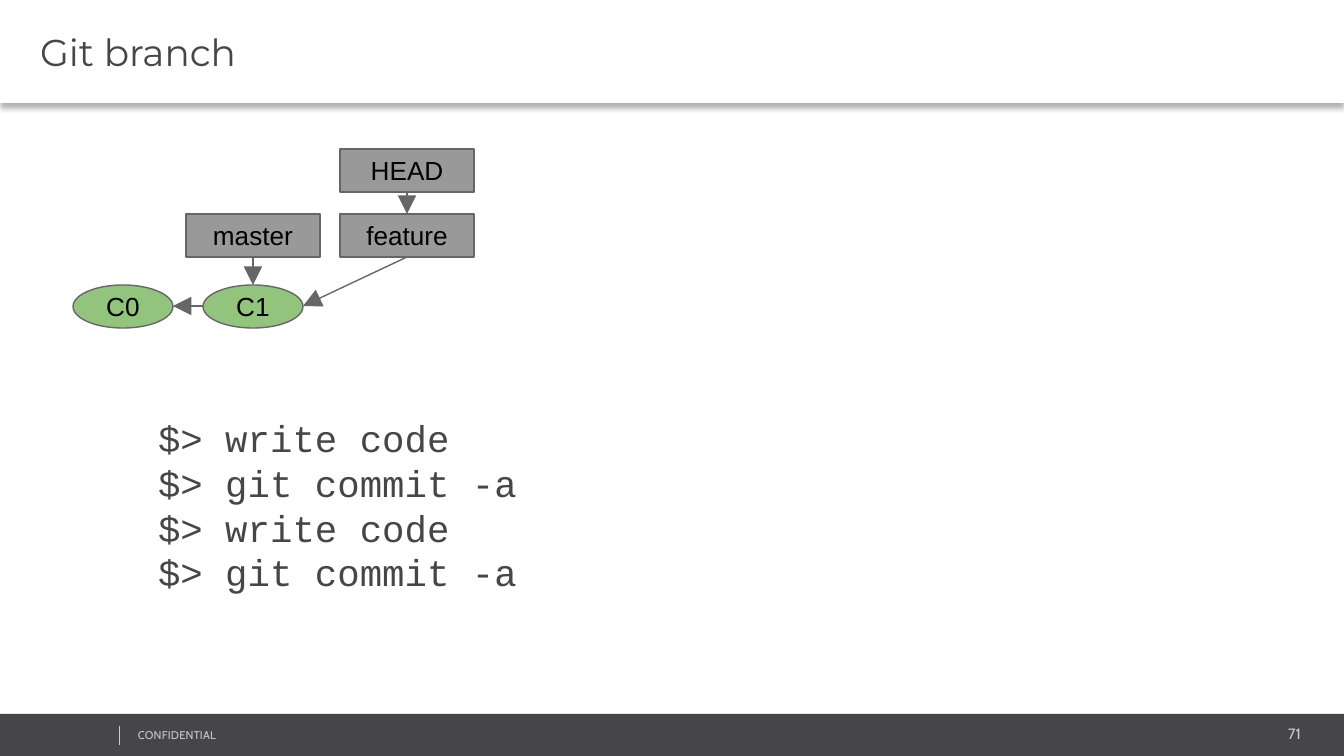
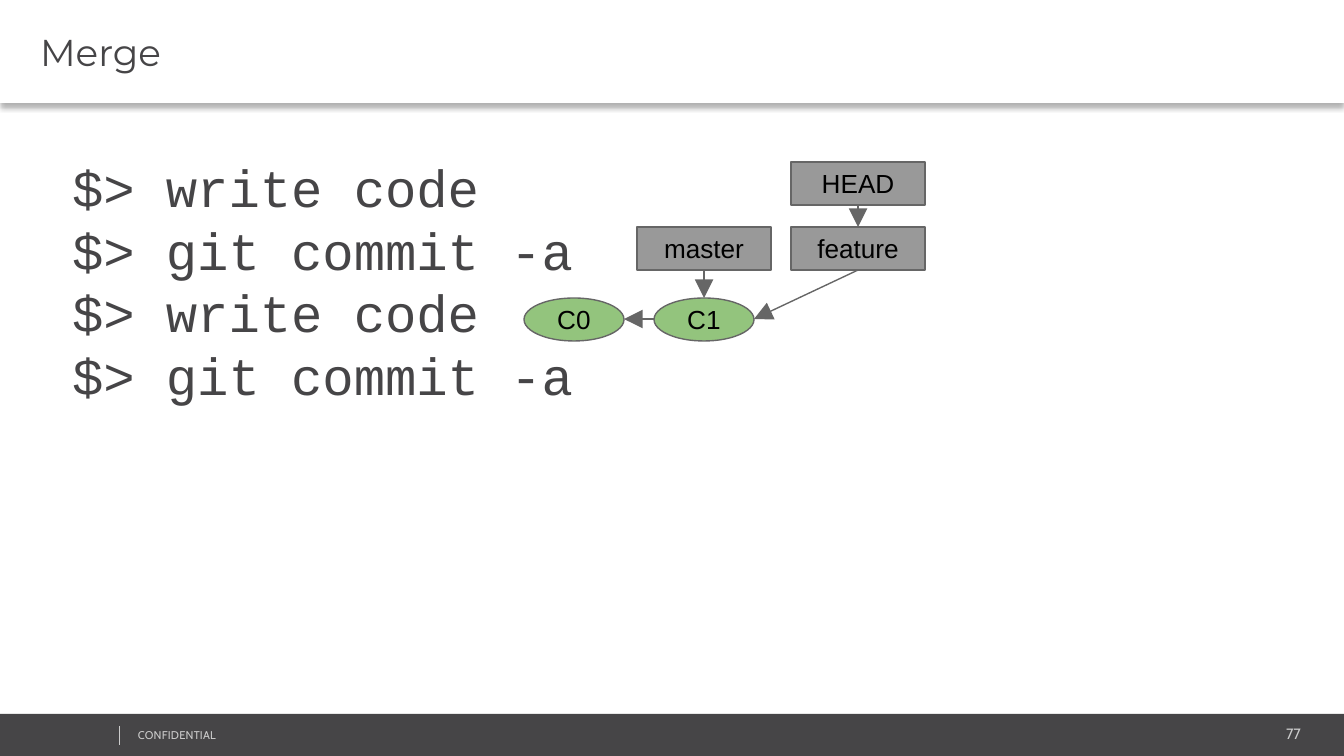
"""Build two slides on branching and merging in Git."""
import pptx
import pptx.dml.color
import pptx.enum.shapes
import pptx.enum.text
import pptx.oxml
import pptx.oxml.ns
import pptx.util

PX = 6804
NS = pptx.oxml.ns.nsdecls("a")
DARK, PALE, EDGE = "464547", "CCCCCC", "666666"
RECT = pptx.enum.shapes.MSO_SHAPE.RECTANGLE
OVAL = pptx.enum.shapes.MSO_SHAPE.OVAL
LINE = pptx.enum.shapes.MSO_CONNECTOR.STRAIGHT
LEFT, MID, RIGHT = (pptx.enum.text.PP_ALIGN.LEFT, pptx.enum.text.PP_ALIGN.CENTER,
                    pptx.enum.text.PP_ALIGN.RIGHT)
TOP, HALF = pptx.enum.text.MSO_ANCHOR.TOP, pptx.enum.text.MSO_ANCHOR.MIDDLE


def hue(code):
    return pptx.dml.color.RGBColor.from_string(code)


def write(shape, text, font="Arial", size=14, color="000000", align=LEFT,
          anchor=TOP, pad=(13, 13, 13, 13), track=0):
    frame = shape.text_frame
    frame.word_wrap = True
    frame.auto_size = pptx.enum.text.MSO_AUTO_SIZE.NONE
    frame.vertical_anchor = anchor
    (frame.margin_left, frame.margin_top,
     frame.margin_right, frame.margin_bottom) = [side * PX for side in pad]
    frame.text = text
    for para in frame.paragraphs:
        para.alignment = align
        for run in para.runs:
            run.font.name = font
            run.font.size = pptx.util.Pt(size)
            run.font.color.rgb = hue(color)
            if track:
                run.font._element.set("spc", str(track))


deck = pptx.Presentation()
deck.slide_width = pptx.util.Inches(10)
deck.slide_height = pptx.util.Inches(5.625)

code = "\n".join(["$> write code", "$> git commit -a"] * 2)
pages = [
    ("Git branch", "71", (73, 149), (145, 402, 587, 219), 20),
    ("Merge", "77", (524, 162), (59, 142, 677, 249), 28),
]
nodes = [
    ("С0", OVAL, 0, 136, 100, "93C47D"),
    ("С1", OVAL, 130, 136, 100, "93C47D"),
    ("master", RECT, 113, 65, 134, "999999"),
    ("feature", RECT, 267, 65, 134, "999999"),
    ("HEAD", RECT, 267, 0, 134, "999999"),
]
links = [(130, 157, 100, 157), (180, 108, 180, 136),
         (334, 43, 334, 65), (334, 108, 230, 157)]

for name, num, (left, top), area, size in pages:
    slide = deck.slides.add_slide(deck.slide_layouts[5])
    shapes = slide.shapes

    bar = shapes.add_shape(RECT, 0, 714 * PX, deck.slide_width, 42 * PX)
    bar.shadow.inherit = False
    bar.fill.solid()
    bar.fill.fore_color.rgb = hue(DARK)
    bar.line.fill.background()
    for text, box, points, align, track in [
        (num, (1091, 720, 219, 28), 8, RIGHT, 0),
        ("CONFIDENTIAL", (129, 723, 340, 24), 6, LEFT, 10),
    ]:
        note = shapes.add_textbox(*[side * PX for side in box])
        write(note, text, font="Cabin", size=points, color=PALE, align=align,
              pad=(9, 5, 9, 5), track=track)

    title = shapes.title
    title.left, title.top, title.width, title.height = 0, 0, deck.slide_width, 103 * PX
    title.fill.solid()
    title.fill.fore_color.rgb = hue("FFFFFF")
    write(title, name, font="Montserrat", size=20, color=DARK, anchor=HALF,
          pad=(40, 5, 9, 5))
    title._element.spPr.append(pptx.oxml.parse_xml(
        f'<a:effectLst {NS}><a:outerShdw blurRad="39370" dist="25400" dir="5400000" '
        'algn="t" rotWithShape="0"><a:srgbClr val="000000"><a:alpha val="30000"/>'
        '</a:srgbClr></a:outerShdw></a:effectLst>'))

    for text, kind, x, y, wide, fill in nodes:
        node = shapes.add_shape(kind, (left + x) * PX, (top + y) * PX, wide * PX, 43 * PX)
        node.shadow.inherit = False
        node.fill.solid()
        node.fill.fore_color.rgb = hue(fill)
        node.line.color.rgb = hue(EDGE)
        node.line.width = pptx.util.Pt(0.75)
        write(node, text, align=MID, anchor=HALF)

    lines = [(119, 726, 119, 745, PALE, 0.25, False)]
    lines += [(left + x1, top + y1, left + x2, top + y2, EDGE, 0.75, True)
              for x1, y1, x2, y2 in links]
    for *ends, color, width, arrow in lines:
        link = shapes.add_connector(LINE, *[end * PX for end in ends])
        link.line.color.rgb = hue(color)
        link.line.width = pptx.util.Pt(width)
        if arrow:
            link.line._get_or_add_ln().append(pptx.oxml.parse_xml(
                f'<a:tailEnd {NS} type="triangle" w="lg" len="lg"/>'))
        link._element.spPr.append(pptx.oxml.parse_xml(f"<a:effectLst {NS}/>"))

    shell = shapes.add_textbox(*[side * PX for side in area])
    write(shell, code, font="Courier New", size=size, color=DARK)

deck.save("out.pptx")
